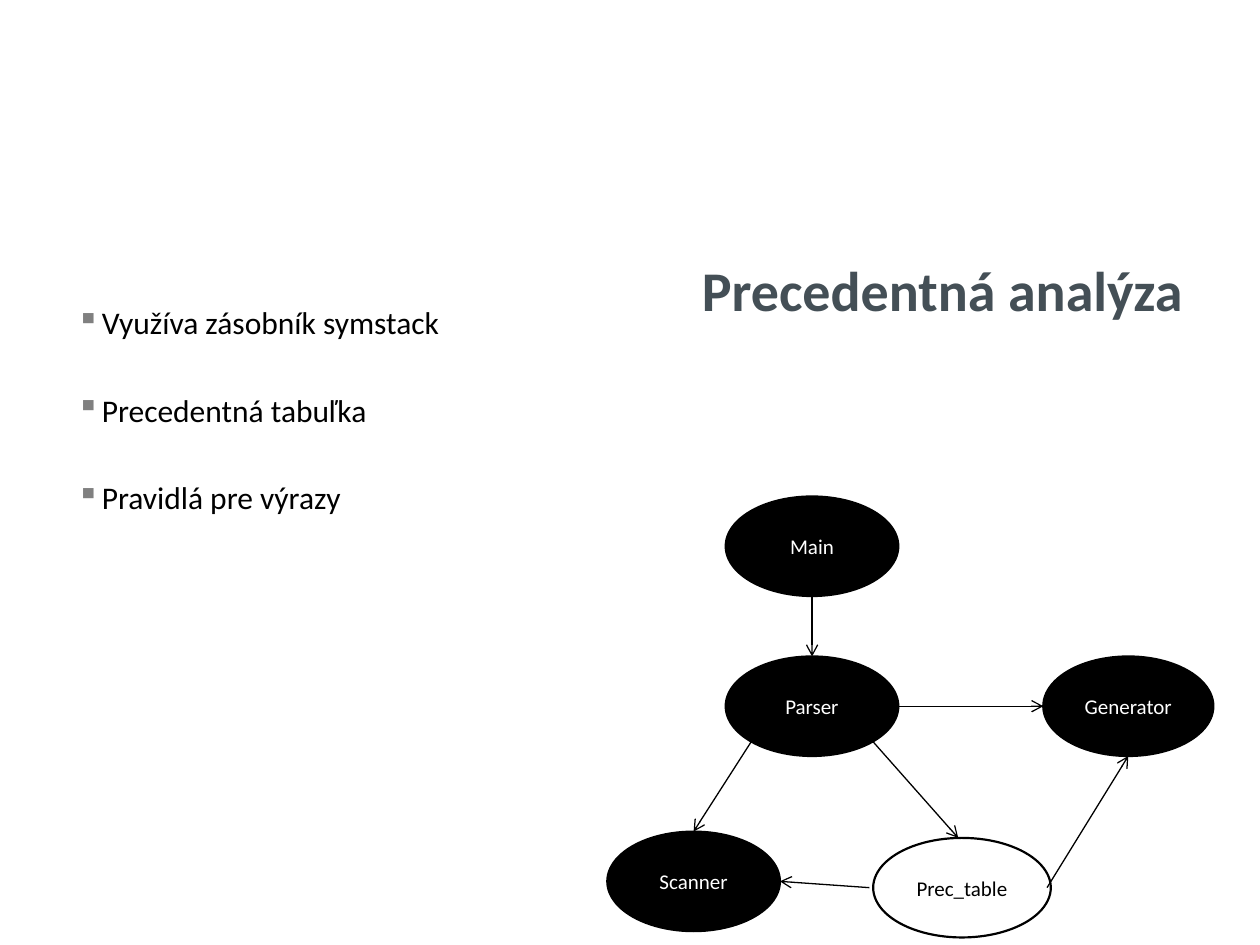
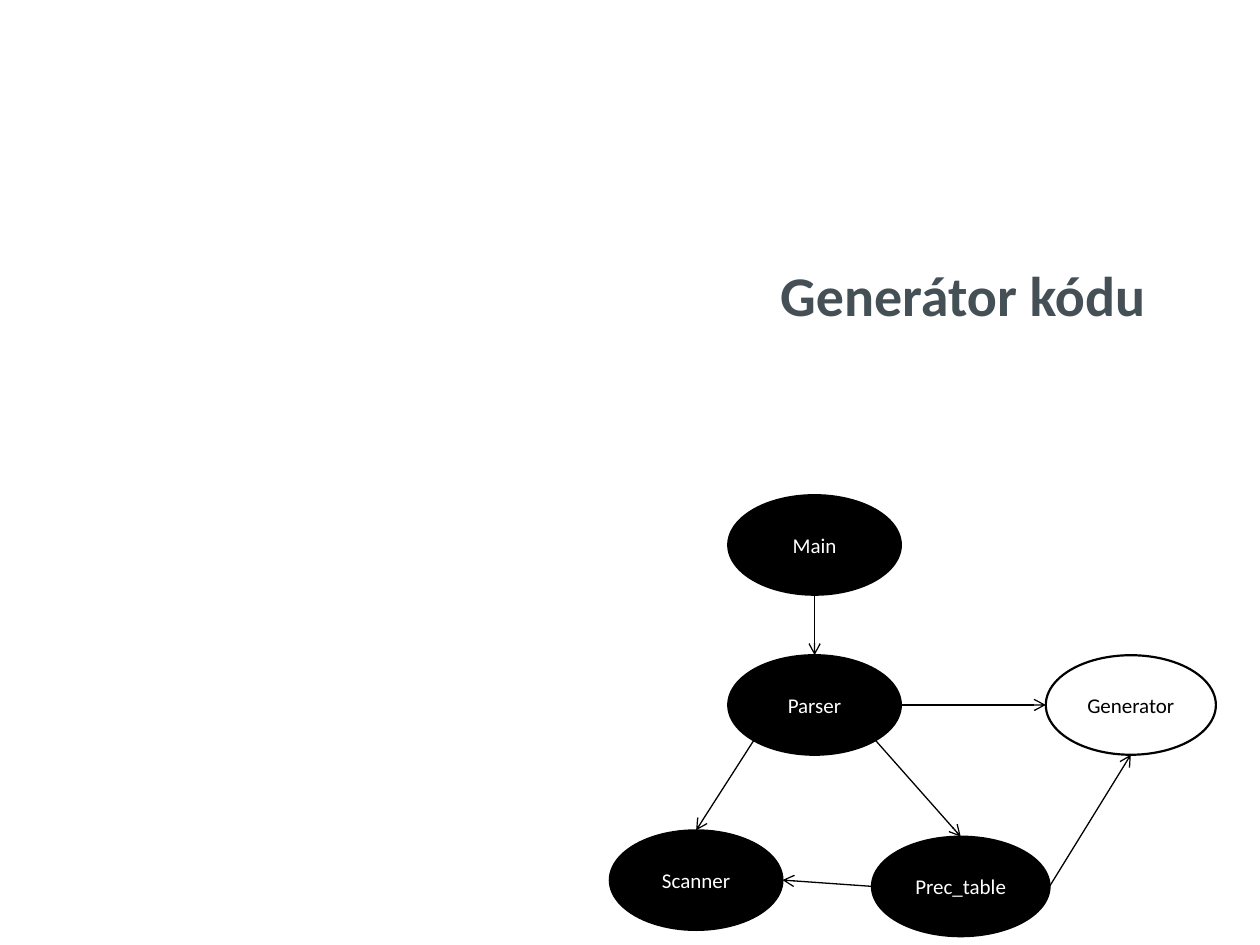
import dataclasses

import pptx
import pptx.dml.color
import pptx.enum.shapes
import pptx.enum.text
import pptx.oxml
import pptx.oxml.ns
import pptx.util

Inches = pptx.util.Inches
Pt = pptx.util.Pt
ALIGN = pptx.enum.text.PP_ALIGN


@dataclasses.dataclass(frozen=True)
class Theme:
    font: str = "Calibri"
    ink: str = "000000"
    paper: str = "FFFFFF"
    title: str = "444F56"
    bullet: str = "808080"
    title_size: float = 32
    body_size: float = 18
    node_size: float = 12
    node_line: float = 1.25
    arrow_line: float = 0.75
    bullet_gap: float = 28.3
    bullet_indent: float = 0.2


THEME = Theme()

# Module diagram: left, top, width, height of each oval
NODES = {
    "Parser": (5.76, 5.21, 1.37, 0.79),
    "Prec_table": (6.9, 6.65, 1.41, 0.79),
    "Generator": (8.28, 5.21, 1.35, 0.79),
    "Scanner": (4.82, 6.6, 1.37, 0.79),
    "Main": (5.76, 3.94, 1.37, 0.79),
}

# Points on an oval as fractions of its box
SITES = {
    "top": (0.5, 0),
    "left": (0, 0.5),
    "right": (1, 0.5),
    "bottom": (0.5, 1),
    "bottom left": (0.15, 0.85),
    "bottom right": (0.85, 0.85),
}

ARROWS = [
    ("Main", "bottom", "Parser", "top"),
    ("Parser", "bottom left", "Scanner", "top"),
    ("Parser", "bottom right", "Prec_table", "top"),
    ("Prec_table", "left", "Scanner", "right"),
    ("Prec_table", "right", "Generator", "bottom"),
    ("Parser", "right", "Generator", "left"),
]


def rgb(value):
    return pptx.dml.color.RGBColor.from_string(value)


def set_attrs(target, values):
    for name, value in values.items():
        setattr(target, name, value)


def set_frame(tf):
    set_attrs(tf, {
        "word_wrap": True,
        "vertical_anchor": pptx.enum.text.MSO_ANCHOR.MIDDLE,
    })


def add_run(p, text, size, color, bold=False):
    r = p.add_run()
    r.text = text
    set_attrs(r.font, {"name": THEME.font, "size": Pt(size), "bold": bold})
    r.font.color.rgb = rgb(color)


def add_title(s, text, box):
    tf = s.shapes.add_textbox(*map(Inches, box)).text_frame
    set_frame(tf)
    p = tf.paragraphs[0]
    p.alignment = ALIGN.RIGHT
    add_run(p, text, THEME.title_size, THEME.title, bold=True)


def set_bullet(p):
    pPr = p._p.get_or_add_pPr()
    indent = Inches(THEME.bullet_indent)
    pPr.set("marL", str(indent))
    pPr.set("indent", str(-indent))
    ns = pptx.oxml.ns.nsdecls("a")
    for xml in (
        f'<a:buClr {ns}><a:srgbClr val="{THEME.bullet}"/></a:buClr>',
        f'<a:buChar {ns} char="▪"/>',
    ):
        pPr.append(pptx.oxml.parse_xml(xml))


def add_bullets(s, items, box):
    tf = s.shapes.add_textbox(*map(Inches, box)).text_frame
    set_frame(tf)
    for i, item in enumerate(items):
        p = tf.add_paragraph() if i else tf.paragraphs[0]
        p.space_before = Pt(THEME.bullet_gap if i else 0)
        set_bullet(p)
        add_run(p, item, THEME.body_size, THEME.ink)


def add_node(s, name, box, highlighted):
    fill, color = (THEME.paper, THEME.ink) if highlighted else (THEME.ink, THEME.paper)
    sp = s.shapes.add_shape(pptx.enum.shapes.MSO_SHAPE.OVAL, *map(Inches, box))
    sp.shadow.inherit = False
    sp.fill.solid()
    sp.fill.fore_color.rgb = rgb(fill)
    sp.line.color.rgb = rgb(THEME.ink)
    sp.line.width = Pt(THEME.node_line)
    set_frame(sp.text_frame)
    p = sp.text_frame.paragraphs[0]
    p.alignment = ALIGN.CENTER
    add_run(p, name, THEME.node_size, color)


def add_arrow(s, start, end):
    line = s.shapes.add_connector(
        pptx.enum.shapes.MSO_CONNECTOR.STRAIGHT, *map(Inches, start + end))
    line.line.color.rgb = rgb(THEME.ink)
    line.line.width = Pt(THEME.arrow_line)
    ns = pptx.oxml.ns.nsdecls("a")
    line.line._get_or_add_ln().append(
        pptx.oxml.parse_xml(f'<a:tailEnd {ns} type="arrow"/>'))
    line._element.spPr.append(pptx.oxml.parse_xml(f"<a:effectLst {ns}/>"))


def site_point(box, site):
    left, top, width, height = box
    fx, fy = SITES[site]
    return left + fx * width, top + fy * height


def add_diagram(s, highlighted, dx=0, dy=0, nudge=0):
    """Draw the modules; nudge moves the highlighted oval off its arrows."""
    boxes = {name: (x + dx, y + dy, w, h) for name, (x, y, w, h) in NODES.items()}
    for name, (x, y, w, h) in boxes.items():
        active = name == highlighted
        add_node(s, name, (x + nudge * active, y, w, h), active)
    for source, out_site, target, in_site in ARROWS:
        add_arrow(s, site_point(boxes[source], out_site),
                  site_point(boxes[target], in_site))


def main():
    prs = pptx.Presentation()
    set_attrs(prs, {"slide_width": Inches(10), "slide_height": Inches(7.5)})
    blank = prs.slide_layouts[6]

    # Precedence analysis
    s = prs.slides.add_slide(blank)
    add_bullets(s, ["Využíva zásobník symstack", "Precedentná tabuľka",
                    "Pravidlá pre výrazy"], (0.51, 1.79, 4, 2.92))
    add_title(s, "Precedentná analýza", (5.16, 1.15, 4.33, 2.29))
    add_diagram(s, "Prec_table", nudge=0.03)

    # Code generator
    s = prs.slides.add_slide(blank)
    add_title(s, "Generátor kódu", (5.1, 1.7, 4.09, 1.27))
    add_diagram(s, "Generator", dx=0.02, dy=-0.01)

    prs.save("out.pptx")


if __name__ == "__main__":
    main()
